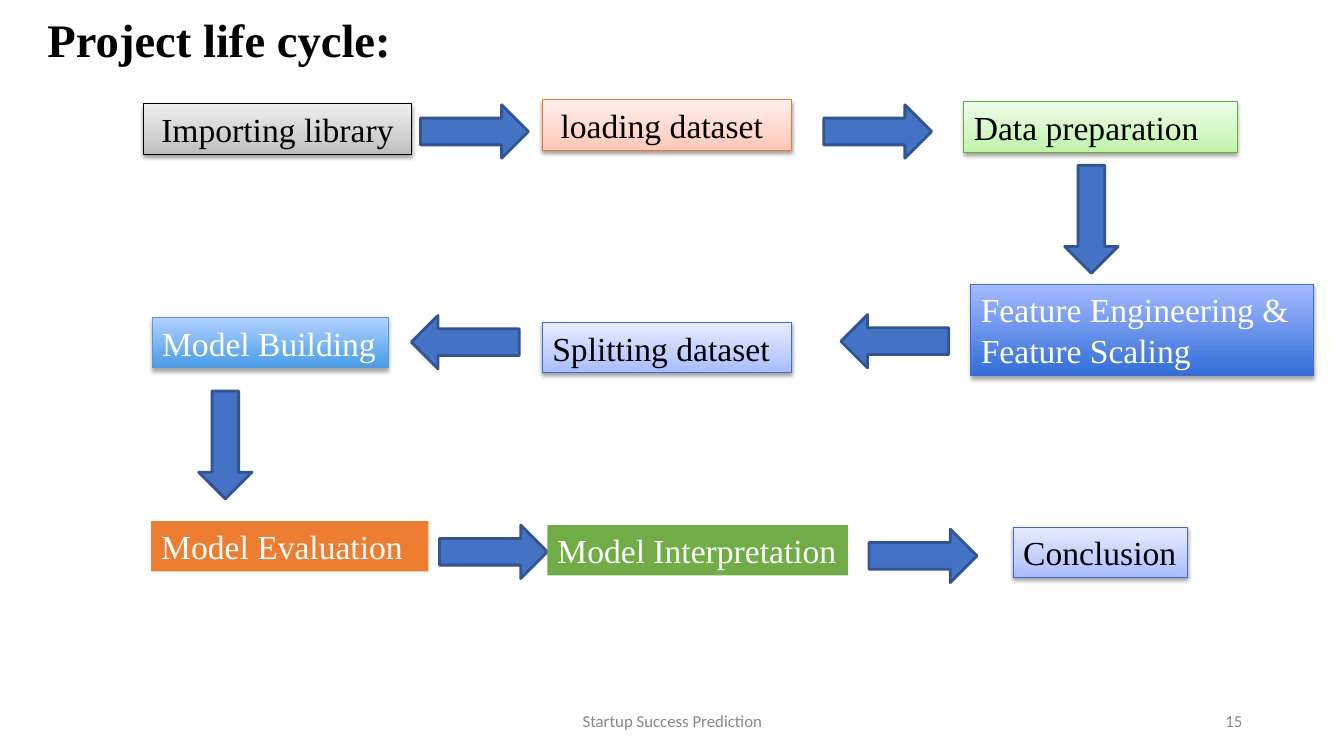
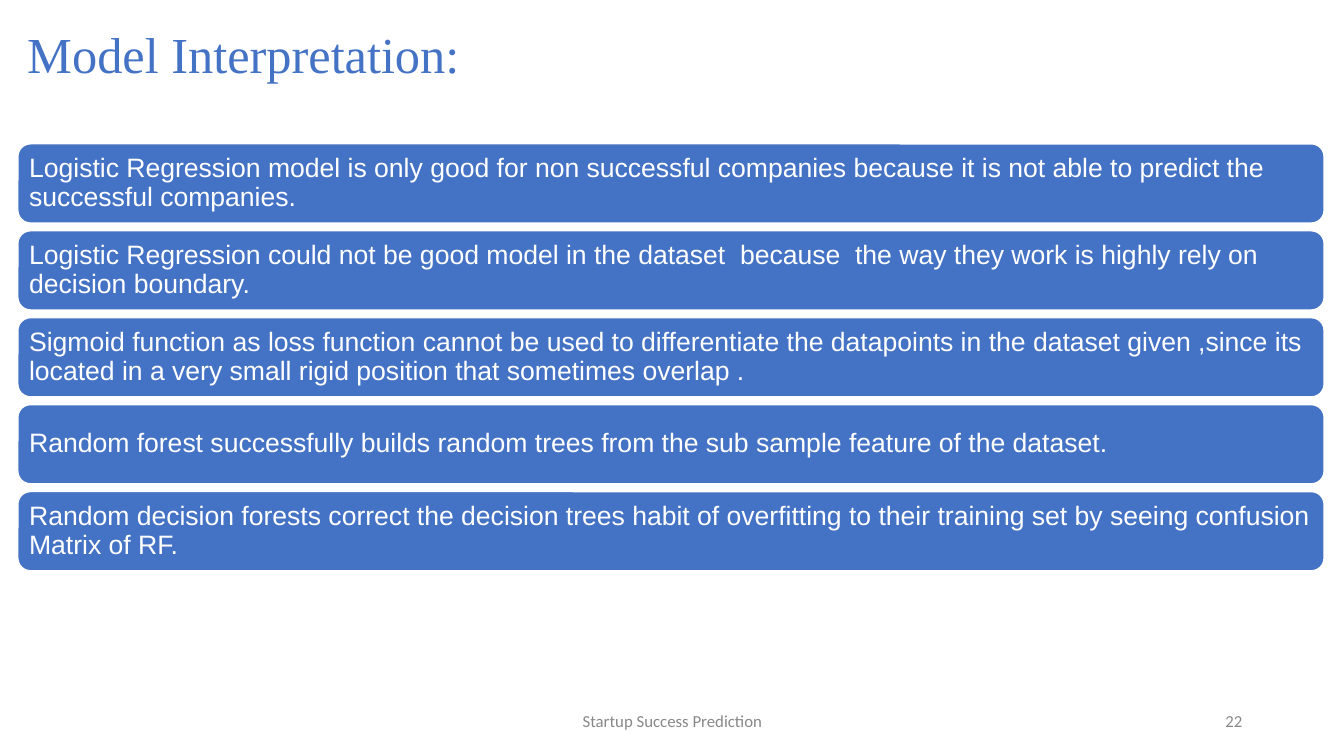
import pptx
import pptx.dml.color
import pptx.enum.shapes
import pptx.enum.text
import pptx.oxml.ns
import pptx.util
from lxml import etree

Inches = pptx.util.Inches
Pt = pptx.util.Pt
qn = pptx.oxml.ns.qn
SHAPE = pptx.enum.shapes.MSO_SHAPE
ALIGN = pptx.enum.text.PP_ALIGN
ANCHOR = pptx.enum.text.MSO_ANCHOR

SERIF = "Times New Roman"
BLACK = "000000"
WHITE = "FFFFFF"
GREY = "888888"
BLUE = "4472C4"
DARK_BLUE = "325491"

GREY_FADE = ("BDBDBD", "D1D1D1", "EEEEEE")
PEACH_FADE = ("FFC7B6", "FFD7CB", "FFF0EB")
GREEN_FADE = ("BEF5A7", "D1F7C2", "EDFDE7")
LILAC_FADE = ("A6BBFF", "C0CEFF", "E7ECFF")
ROYAL_FADE = ("316DD7", "A6BBFF")
SKY_FADE = ("499CE7", "B0D2FF")
LILAC_LINE = "3F6FC3"

STEPS = [
    ("Importing library", 1.42, 1.03, 2.66, GREY_FADE, BLACK),
    ("loading dataset", 5.38, 0.99, 2.47, PEACH_FADE, "EC792B"),
    ("Data preparation", 9.56, 1.01, 2.71, GREEN_FADE, "6DAC43"),
    ("Feature Engineering & Feature Scaling", 9.63, 2.82, 3.4, ROYAL_FADE, LILAC_LINE),
    ("Splitting dataset", 5.38, 3.2, 2.47, LILAC_FADE, LILAC_LINE),
    ("Model Building", 1.51, 3.15, 2.34, SKY_FADE, "5698D3"),
    ("Model Evaluation", 1.5, 5.17, 2.75, ("ED7D31",), None),
    ("Model Interpretation", 5.43, 5.21, 2.98, ("70AD47",), None),
    ("Conclusion", 10.05, 5.23, 1.73, LILAC_FADE, LILAC_LINE),
]
INDENTED = ("Importing library", "loading dataset")
UNWRAPPED = ("Model Building", "Conclusion")
TWO_LINE = "Feature Engineering & Feature Scaling"

ARROWS = [
    (SHAPE.RIGHT_ARROW, 4.17, 1.04),
    (SHAPE.RIGHT_ARROW, 8.17, 1.04),
    (SHAPE.DOWN_ARROW, 10.56, 1.64),
    (SHAPE.LEFT_ARROW, 8.34, 3.12),
    (SHAPE.LEFT_ARROW, 4.08, 3.13),
    (SHAPE.DOWN_ARROW, 1.97, 3.88),
    (SHAPE.RIGHT_ARROW, 4.36, 5.21),
    (SHAPE.RIGHT_ARROW, 8.62, 5.25),
]

FINDINGS = [
    "Logistic Regression model is only good for non successful companies because it is not able to predict the successful companies.",
    "Logistic Regression could not be good model in the dataset  because  the way they work is highly rely on decision boundary.",
    "Sigmoid function as loss function cannot be used to differentiate the datapoints in the dataset given ,since its located in a very small rigid position that sometimes overlap .",
    "Random forest successfully builds random trees from the sub sample feature of the dataset.",
    "Random decision forests correct the decision trees habit of overfitting to their training set by seeing confusion Matrix of RF.",
]


def rgb(value):
    return pptx.dml.color.RGBColor.from_string(value)


def box(left, top, width, height):
    return Inches(left), Inches(top), Inches(width), Inches(height)


def set_text(sp, text, font, size, color, align=ALIGN.LEFT, anchor=ANCHOR.MIDDLE,
             bold=False, spacing=1.0):
    tf = sp.text_frame
    tf.text = text
    tf.word_wrap = True
    tf.auto_size = pptx.enum.text.MSO_AUTO_SIZE.NONE
    tf.vertical_anchor = anchor
    p = tf.paragraphs[0]
    p.alignment = align
    p.line_spacing = spacing
    f = p.runs[0].font
    f.name = font
    f.size = Pt(size)
    f.bold = bold
    f.color.rgb = rgb(color)
    return tf


def add_filled(slide, kind, place, fill, line=None, weight=0.75):
    sp = slide.shapes.add_shape(kind, *box(*place))
    sp.shadow.inherit = False
    sp.fill.solid()
    sp.fill.fore_color.rgb = rgb(fill)
    if line:
        sp.line.color.rgb = rgb(line)
        sp.line.width = Pt(weight)
    else:
        sp.line.fill.background()
    return sp


def add_color(parent, value):
    return etree.SubElement(parent, qn("a:srgbClr"), val=value)


def set_gradient(sp, colors):
    sp.fill.gradient()
    sp.fill.gradient_angle = 90
    stops = sp._element.spPr.find(".//" + qn("a:gsLst"))
    for stop in list(stops):
        stops.remove(stop)
    positions = (0, 35, 100) if len(colors) == 3 else (0, 100)
    for position, color in zip(positions, colors):
        add_color(etree.SubElement(stops, qn("a:gs"), pos=str(position * 1000)), color)


def set_shadow(sp, opacity, distance):
    effects = sp._element.spPr.find(qn("a:effectLst"))
    shadow = etree.SubElement(effects, qn("a:outerShdw"), blurRad=str(Pt(3.1)),
                              dist=str(Pt(distance)), dir="5400000", rotWithShape="0")
    etree.SubElement(add_color(shadow, BLACK), qn("a:alpha"), val=str(opacity * 1000))


def add_step(slide, text, left, top, width, colors, line):
    height = 0.91 if text == TWO_LINE else 0.5
    sp = add_filled(slide, SHAPE.RECTANGLE, (left, top, width, height), colors[0], line)
    pale = len(colors) == 3
    if len(colors) > 1:
        set_gradient(sp, colors)
        set_shadow(sp, *((38, 1.6) if pale else (35, 1.8)))
    tf = set_text(sp, text, SERIF, 24, BLACK if pale else WHITE, anchor=ANCHOR.TOP)
    tf.word_wrap = text not in UNWRAPPED
    if text in INDENTED:
        tf.margin_left = Inches(0.18)


def add_arrow(slide, kind, left, top):
    size = (0.53, 1.07) if kind == SHAPE.DOWN_ARROW else (1.07, 0.53)
    add_filled(slide, kind, (left, top, *size), BLUE, DARK_BLUE, 2)


def add_finding(slide, text, top):
    sp = add_filled(slide, SHAPE.ROUNDED_RECTANGLE, (0.17, top, 12.97, 0.8), BLUE, WHITE, 2)
    tf = set_text(sp, text, "Arial", 19, WHITE, spacing=0.9)
    tf.margin_left = tf.margin_right = Inches(0.08)
    tf.margin_top = tf.margin_bottom = Inches(0.08)


def add_footer_text(slide, text, left, width, align):
    sp = slide.shapes.add_textbox(*box(left, 6.95, width, 0.4))
    set_text(sp, text, "Calibri", 12, GREY, align)


def add_slide(prs, title, place, number, **style):
    slide = prs.slides.add_slide(prs.slide_layouts.get_by_name("Title Only"))
    sp = slide.shapes.title
    sp.left, sp.top, sp.width, sp.height = box(*place)
    set_text(sp, title, SERIF, **style)
    add_footer_text(slide, "Startup Success Prediction", 4.42, 4.5, ALIGN.CENTER)
    add_footer_text(slide, number, 9.42, 3, ALIGN.RIGHT)
    return slide


def build_life_cycle(prs):
    slide = add_slide(prs, "Project life cycle:", (0.37, 0.21, 3.89, 0.61), "15",
                      size=33.3, color=BLACK, bold=True, anchor=ANCHOR.TOP, spacing=0.7)
    for arrow in ARROWS:
        add_arrow(slide, *arrow)
    for step in STEPS:
        add_step(slide, *step)


def build_interpretation(prs):
    slide = add_slide(prs, "Model Interpretation:", (0.17, 0.35, 4.74, 0.54), "22",
                      size=36, color=BLUE, anchor=ANCHOR.BOTTOM, spacing=0.9)
    first, last = 1.42, 4.87
    pitch = (last - first) / (len(FINDINGS) - 1)
    for i, text in enumerate(FINDINGS):
        add_finding(slide, text, first + i * pitch)


def main():
    prs = pptx.Presentation()
    prs.slide_width = Inches(13.33)
    prs.slide_height = Inches(7.5)
    build_life_cycle(prs)
    build_interpretation(prs)
    prs.save("out.pptx")


if __name__ == "__main__":
    main()
